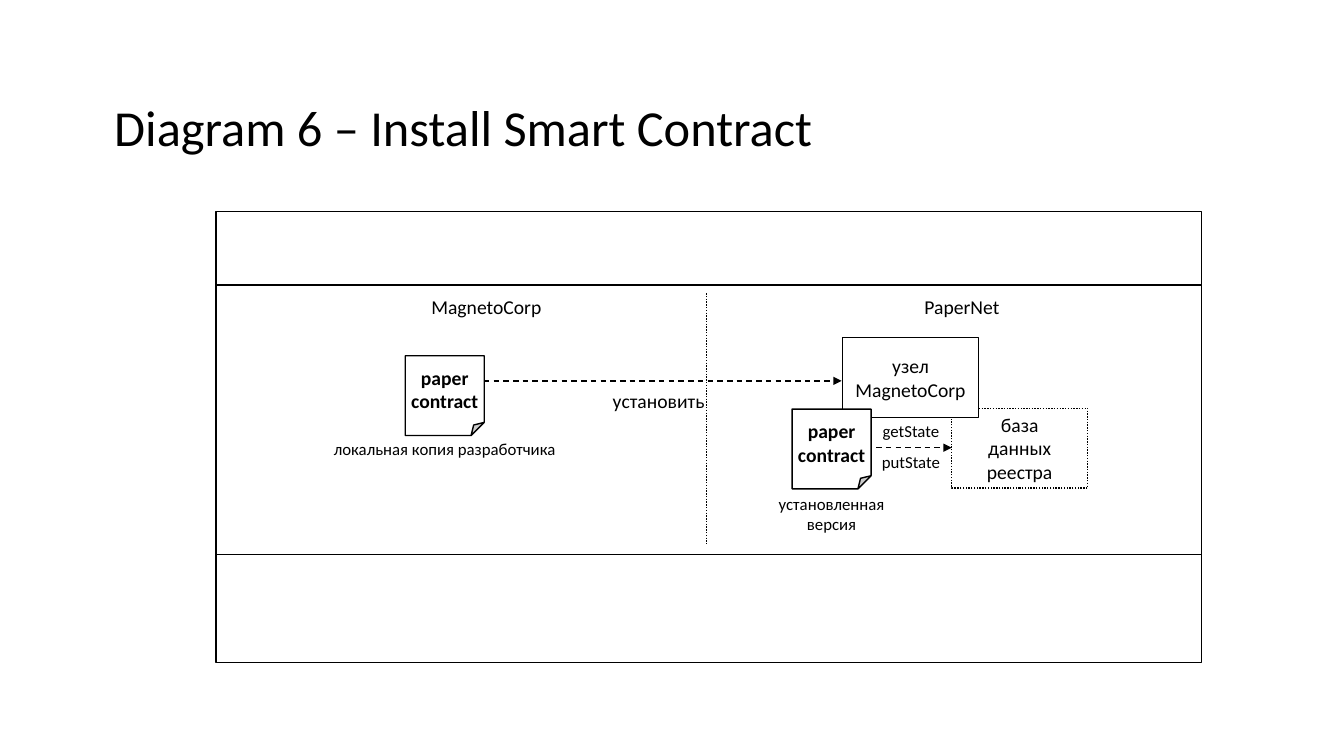
from lxml import etree
from pptx import Presentation
from pptx.dml.color import RGBColor
from pptx.enum.dml import MSO_LINE
from pptx.enum.shapes import MSO_CONNECTOR, MSO_SHAPE
from pptx.enum.text import MSO_ANCHOR, MSO_AUTO_SIZE, PP_ALIGN
from pptx.oxml.ns import qn
from pptx.util import Inches, Pt

RECT, NOTE = MSO_SHAPE.RECTANGLE, MSO_SHAPE.FOLDED_CORNER
STRAIGHT, ELBOW = MSO_CONNECTOR.STRAIGHT, MSO_CONNECTOR.ELBOW
DOT, DASH = MSO_LINE.ROUND_DOT, MSO_LINE.DASH
LEFT, CENTER = PP_ALIGN.LEFT, PP_ALIGN.CENTER
TOP, MIDDLE = MSO_ANCHOR.TOP, MSO_ANCHOR.MIDDLE
FIT = MSO_AUTO_SIZE.SHAPE_TO_FIT_TEXT

COLORS = {"ink": "000000", "paper": "FFFFFF"}
FONT = "Calibri"
WIDTH, HEIGHT = Inches(13.33), Inches(7.5)
COLS, ROWS = 160, 90

# Frame, its bands and the shared sizes, in columns and rows
X, Y, W, H = 25.7, 25.2, 117.35, 53.65
BANDS = (33.95, 66)
SPLIT = 84.1
BOX = (16.2, 9.5)
SHEET = (9.4, 9.5)
FLOW = 45.35
CALL = 53.3


def color(name):
    return RGBColor.from_string(COLORS[name])


def place(*cells):
    """Turn alternating columns and rows into slide lengths."""
    units = (WIDTH / COLS, HEIGHT / ROWS)
    return [round(cell * units[i % 2]) for i, cell in enumerate(cells)]


def write(frame, text, size=14, bold=False, align=CENTER, anchor=MIDDLE):
    frame.text = text
    frame.vertical_anchor = anchor
    frame.margin_left = frame.margin_right = Inches(0.05)
    frame.margin_top = frame.margin_bottom = Inches(0.05)
    for par in frame.paragraphs:
        par.alignment = align
        for run in par.runs:
            run.font.name = FONT
            run.font.size = Pt(size)
            run.font.bold = bold
            run.font.color.rgb = color("ink")


def stroke(line, dash=None):
    line.color.rgb = color("ink")
    line.width = Pt(1)
    if dash:
        line.dash_style = dash


def add_box(slide, kind, cells, text="", dash=None, bold=False):
    box = slide.shapes.add_shape(kind, *place(*cells))
    box.shadow.inherit = False
    stroke(box.line, dash)
    box.fill.solid()
    box.fill.fore_color.rgb = color("paper")
    box.text_frame.word_wrap = True
    write(box.text_frame, text, bold=bold)


def add_label(slide, cells, text, size=14, align=CENTER):
    label = slide.shapes.add_textbox(*place(*cells))
    frame = label.text_frame
    frame.word_wrap = False
    frame.auto_size = FIT
    write(frame, text, size, align=align, anchor=TOP)
    return frame


def add_title(slide, cells, text):
    frame = slide.shapes.add_textbox(*place(*cells)).text_frame
    frame.word_wrap = True
    write(frame, text, 36, align=LEFT)
    frame.paragraphs[0].line_spacing = 0.9


def add_line(slide, ends, dash=None, kind=STRAIGHT, arrow=False):
    link = slide.shapes.add_connector(kind, *place(*ends))
    stroke(link.line, dash)
    if arrow:
        etree.SubElement(link.line._get_or_add_ln(), qn("a:tailEnd"), type="triangle")
    etree.SubElement(link._element.spPr, qn("a:effectLst"))


def main():
    deck = Presentation()
    deck.slide_width, deck.slide_height = WIDTH, HEIGHT
    slide = deck.slides.add_slide(deck.slide_layouts[6])

    add_box(slide, RECT, (X, Y, W, H))
    add_title(slide, (13, 6.85, 138, 17.4), "Diagram 6 – Install Smart Contract")
    add_box(slide, RECT, (113.3, 48.6, *BOX), "база\nданных\nреестра", DOT)
    for band in BANDS:
        add_line(slide, (X, band, X + W, band))
    add_line(slide, (SPLIT, 34.9, SPLIT, 64.8), DOT)

    add_label(slide, (109.45, 34.55, 10.3, 4.1), "PaperNet", align=LEFT)
    add_label(slide, (50.75, 34.55, 14.5, 4.1), "MagnetoCorp", align=LEFT)
    add_box(slide, RECT, (100.3, 40.2, *BOX), "узел\nMagnetoCorp")
    add_label(slide, (72.35, 45.7, 12.25, 4.1), "установить", align=LEFT)
    add_line(slide, (57.6, FLOW, 100.2, FLOW), DASH, ELBOW, arrow=True)

    add_label(slide, (38.9, 51.6, 28.1, 3.6), "локальная копия разработчика", 12)
    add_label(slide, (92.05, 58.2, 13.9, 6), "установленная\nверсия", 12)
    add_line(slide, (104.3, CALL, 113.3, CALL), DASH, arrow=True)
    calls = add_label(slide, (104.3, 49.55, 8.3, 7.3), "getState\nputState", 12)
    calls.paragraphs[1].line_spacing = 1.5

    for left, top in ((48.25, 42.35), (94.3, 48.7)):
        add_box(slide, NOTE, (left, top, *SHEET), "paper\ncontract", bold=True)

    deck.save("out.pptx")


if __name__ == "__main__":
    main()
